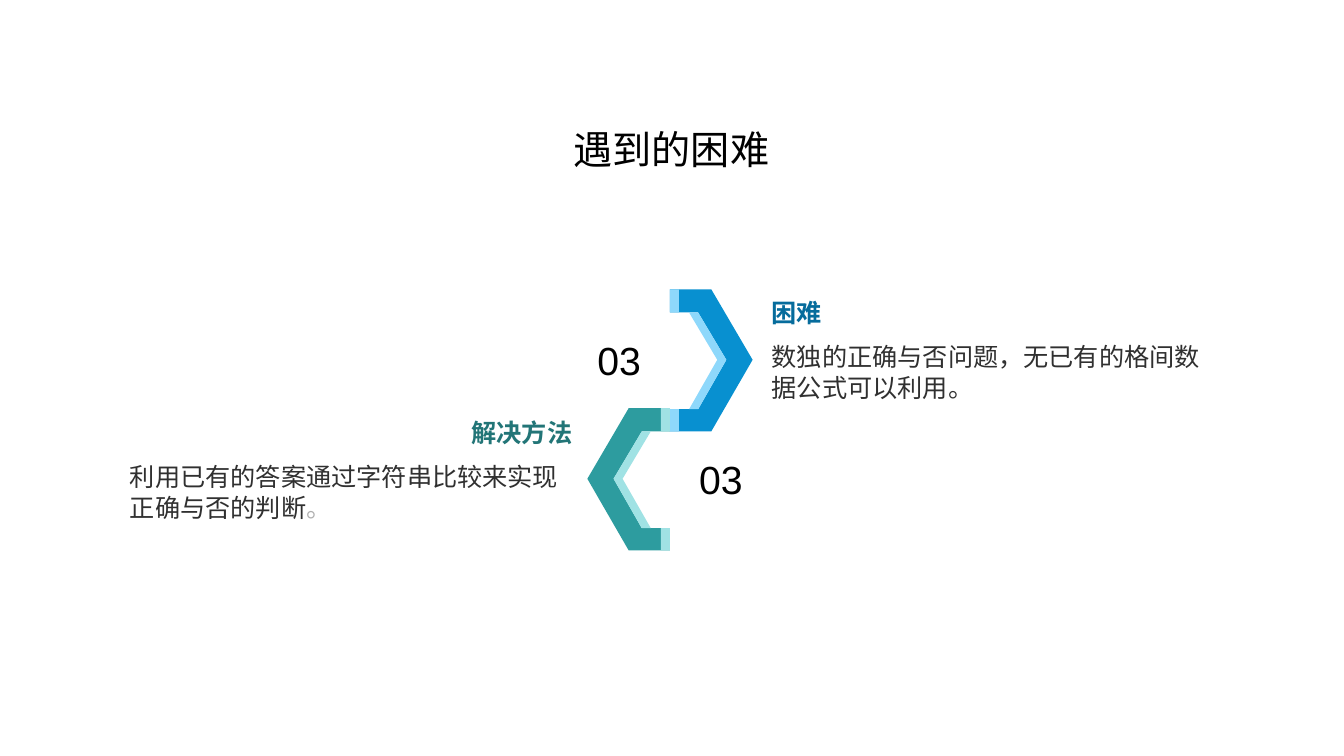
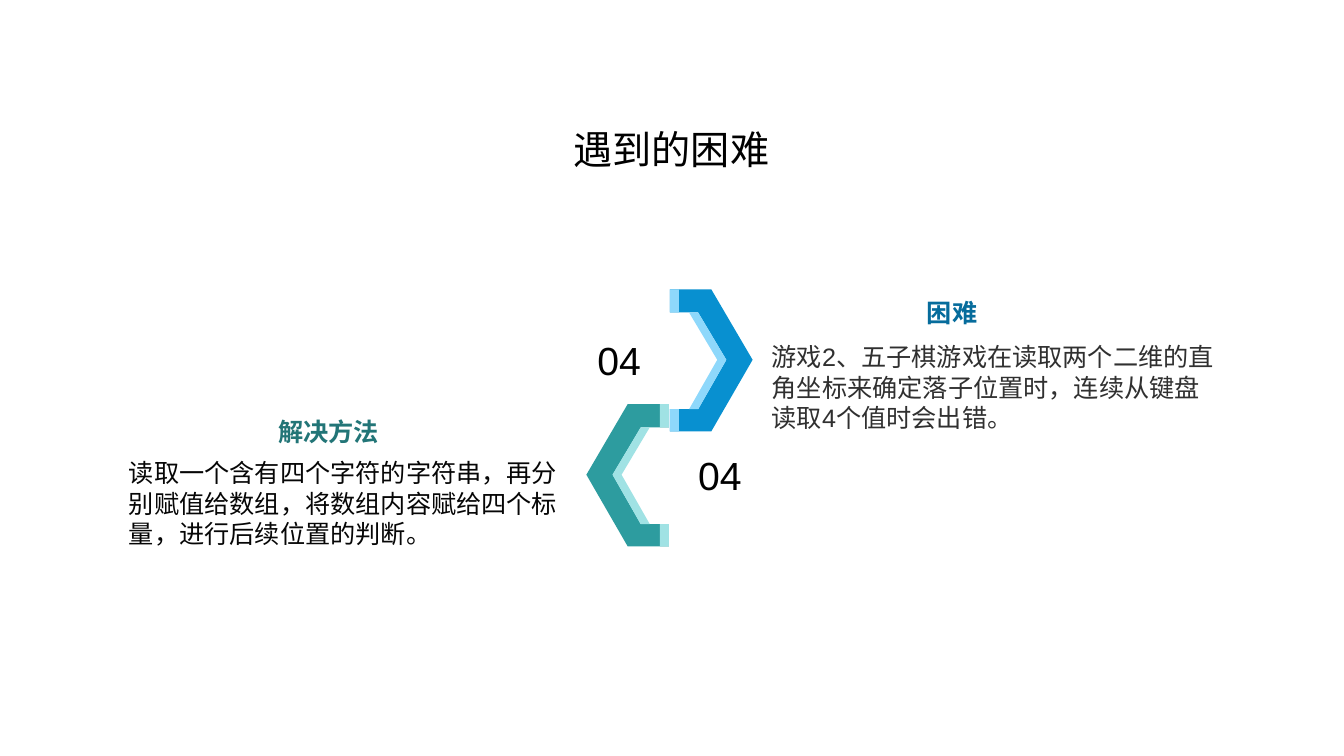
from dataclasses import dataclass

import pptx
import pptx.dml.color
import pptx.enum.text
import pptx.util

Inches = pptx.util.Inches
ALIGN = pptx.enum.text.PP_ALIGN
ANCHOR = pptx.enum.text.MSO_ANCHOR


@dataclass(frozen=True)
class Theme:
    font: str = "Arial"
    chinese_font: str = "Noto Sans CJK SC"
    large: int = 28
    normal: int = 18
    black: str = "000000"
    ink: str = "060606"
    body: str = "303030"
    pale: str = "AFAFAF"
    blue: str = "0890D0"
    light_blue: str = "8ED8FB"
    dark_blue: str = "066C9C"
    teal: str = "2D9C9F"
    light_teal: str = "A0E2E4"
    dark_teal: str = "227577"


THEME = Theme()
COLUMN_WIDTH = 4.39
NUMBER_WIDTH = 1.31

# Bracket outlines as (distance from the spine, distance from the top).
BRACKET = [[(0.41, 0), (0, 0), (0, 0.23), (0.28, 0.23), (0.56, 0.7), (0.28, 1.19),
            (0, 1.19), (0, 1.41), (0.41, 1.41), (0.82, 0.7)]]
HIGHLIGHTS = [
    [(0, 1.19), (0.09, 1.19), (0.09, 1.41), (0, 1.41)],
    [(0.19, 0.23), (0.28, 0.23), (0.56, 0.7), (0.28, 1.19), (0.19, 1.19), (0.47, 0.7)],
    [(0, 0), (0.09, 0), (0.09, 0.23), (0, 0.23)],
]


def rgb(color):
    return pptx.dml.color.RGBColor.from_string(color)


def add_text(slide, frame, runs, size, align=ALIGN.LEFT, anchor=ANCHOR.MIDDLE,
             bold=False, font=THEME.font):
    """Add a text box; runs is a list of (text, colour) pairs."""
    box = slide.shapes.add_textbox(*map(Inches, frame))
    text_frame = box.text_frame
    text_frame.word_wrap = True
    text_frame.vertical_anchor = anchor
    text_frame.margin_left = text_frame.margin_right = 0
    text_frame.margin_top = text_frame.margin_bottom = 0
    para = text_frame.paragraphs[0]
    para.alignment = align
    for text, color in runs:
        span = para.add_run()
        span.text = text
        span.font.name = font
        span.font.size = pptx.util.Pt(size)
        span.font.bold = bold
        span.font.color.rgb = rgb(color)


def add_outline(slide, contours, spine, top, direction, color):
    """Draw closed contours, mirrored about the spine when direction is -1."""
    placed = [[(Inches(spine + direction * x), Inches(top + y)) for x, y in contour]
              for contour in contours]
    builder = slide.shapes.build_freeform(*placed[0][0])
    for index, (start, *rest) in enumerate(placed):
        if index:
            builder.move_to(*start)
        builder.add_line_segments(rest, close=True)
    shape = builder.convert_to_shape()
    shape.shadow.inherit = False
    shape.fill.solid()
    shape.fill.fore_color.rgb = rgb(color)
    shape.line.fill.background()


def add_bracket(slide, spine, top, direction, color, highlight, number):
    add_outline(slide, BRACKET, spine, top, direction, color)
    add_outline(slide, HIGHLIGHTS, spine, top, direction, highlight)
    number_left = spine - 1.16 if direction > 0 else spine + 1.16 - NUMBER_WIDTH
    add_text(slide, (number_left, top + 0.14, NUMBER_WIDTH, 1.12),
             [(number, THEME.black)], THEME.large, ALIGN.CENTER)


def add_title(slide, title):
    add_text(slide, (2.85, 1.02, 7.63, 0.91), [(title, THEME.black)],
             THEME.large, ALIGN.CENTER)


def add_difficulty(slide, number, body, heading_left=7.66):
    spine, top = 6.65, 2.87
    add_bracket(slide, spine, top, 1, THEME.blue, THEME.light_blue, number)
    add_text(slide, (heading_left, top - 0.07, COLUMN_WIDTH, 0.59),
             [("困难", THEME.dark_blue)], THEME.normal, bold=True)
    add_text(slide, (7.66, top + 0.52, COLUMN_WIDTH, 1.31),
             [(body, THEME.body)], THEME.normal, anchor=ANCHOR.TOP)


def add_solution(slide, number, runs, spine, top, heading_right, heading_top,
                 font=THEME.font):
    add_bracket(slide, spine, top, -1, THEME.teal, THEME.light_teal, number)
    heading_width = 1.22
    add_text(slide, (heading_right - heading_width, heading_top, heading_width, 0.59),
             [("解决方法", THEME.dark_teal)], THEME.normal, ALIGN.RIGHT, bold=True)
    add_text(slide, (spine - 5.36, top + 0.53, COLUMN_WIDTH, 1.31), runs,
             THEME.normal, anchor=ANCHOR.TOP, font=font)


def add_slide(deck):
    slide = deck.slides.add_slide(deck.slide_layouts[6])
    add_title(slide, "遇到的困难")
    return slide


def main():
    deck = pptx.Presentation()
    deck.slide_width, deck.slide_height = Inches(13.34), Inches(7.5)

    checking = add_slide(deck)
    add_difficulty(checking, "03", "数独的正确与否问题，无已有的格间数据公式可以利用。")
    add_solution(checking, "03",
                 [("利用已有的答案通过字符串比较来实现正确与否的判断", THEME.body),
                  ("。", THEME.pale)],
                 spine=6.65, top=4.05, heading_right=5.68, heading_top=3.99)

    reading = add_slide(deck)
    add_difficulty(reading, "04",
                   "游戏2、五子棋游戏在读取两个二维的直角坐标来确定落子位置时，"
                   "连续从键盘读取4个值时会出错。", heading_left=9.2)
    add_solution(reading, "04",
                 [("读取一个含有四个字符的字符串，再分别赋值给数组，"
                   "将数组内容赋给四个标量，进行后续位置的判断。", THEME.ink)],
                 spine=6.64, top=4.01, heading_right=3.76, heading_top=3.98,
                 font=THEME.chinese_font)

    deck.save("out.pptx")


if __name__ == "__main__":
    main()
